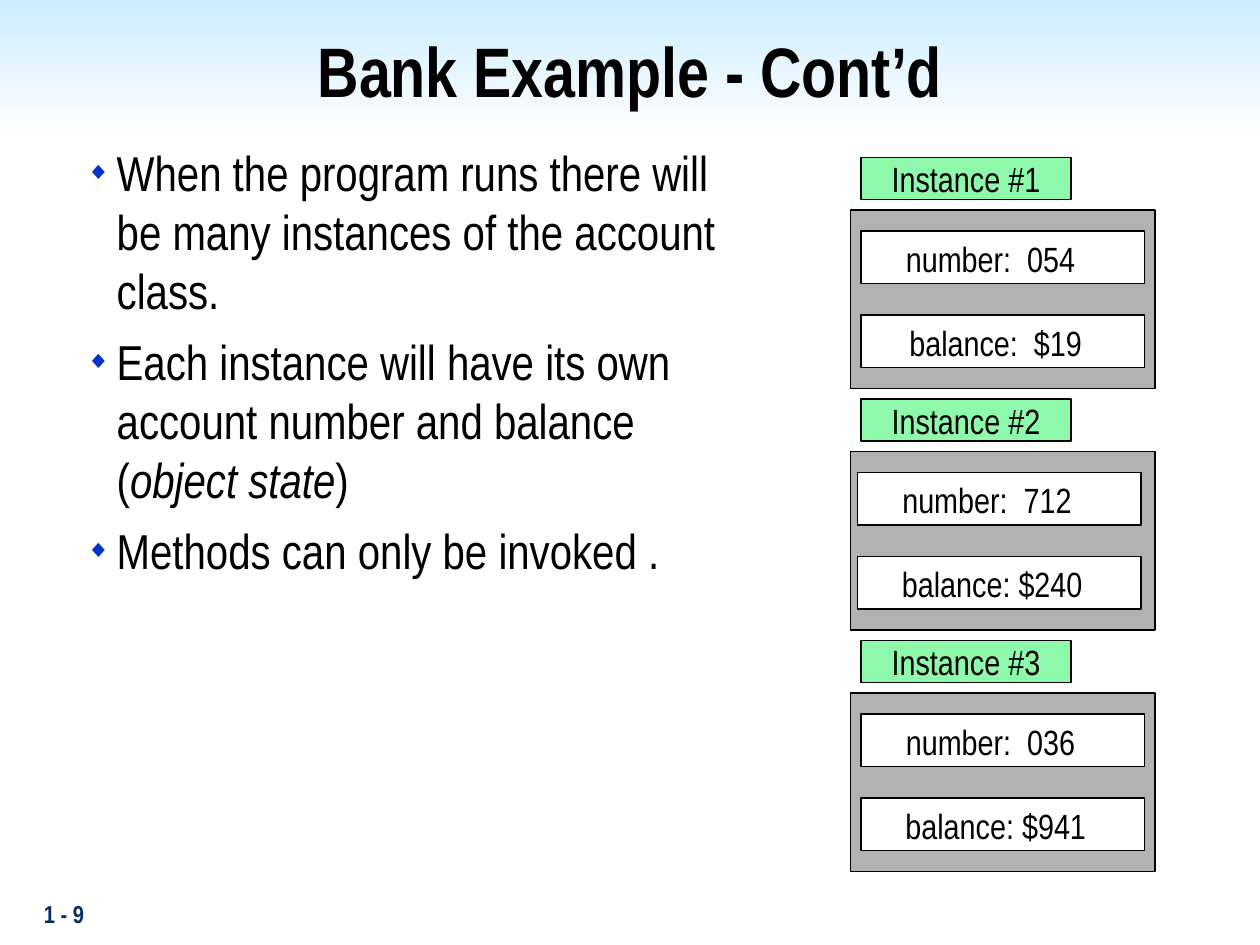
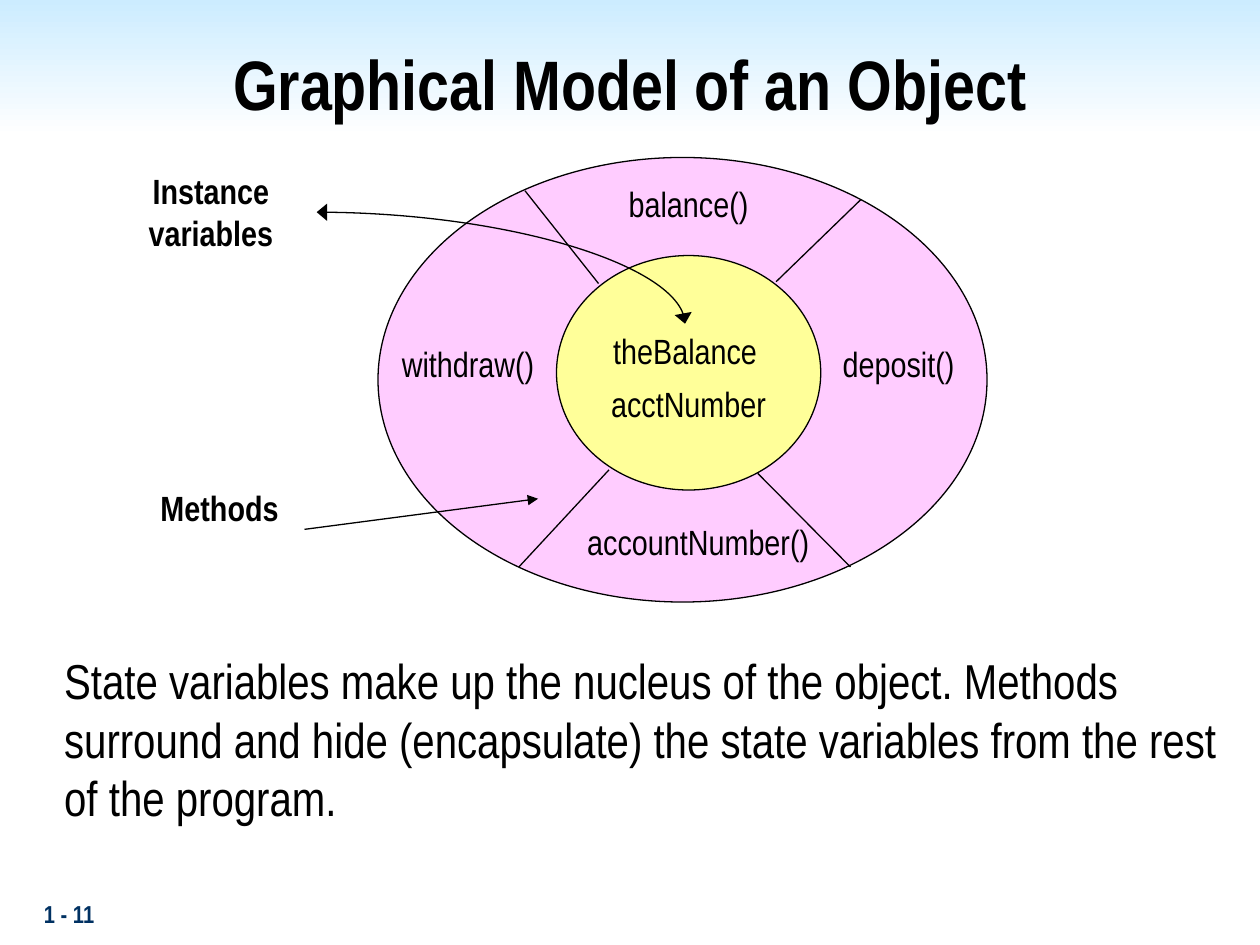
"""Build two slides on objects: bank account instances and a graphical object model."""
from lxml import etree
from pptx import Presentation
from pptx import util as u
from pptx.dml.color import RGBColor
from pptx.enum import shapes, text
from pptx.oxml.ns import qn

Pt = u.Pt
FONT = "Arial Narrow"
COLORS = {
    "ink": "000000", "paper": "FFFFFF", "sky": "CCECFF", "navy": "003162",
    "bullet": "0033CC", "object": "B2B2B2", "label": "8FF9AB",
    "methods": "FFCCFF", "state": "FFFF99",
}


def rgb(name):
    return RGBColor.from_string(COLORS[name])


def write(p, content, size=20, color="ink", bold=False, italic=False):
    r = p.add_run()
    r.text = content
    f = r.font
    f.name, f.size, f.bold, f.italic = FONT, Pt(size), bold, italic
    f.color.rgb = rgb(color)


def place(sp, x, y, w, h):
    sp.left, sp.top, sp.width, sp.height = Pt(x), Pt(y), Pt(w), Pt(h)


def add_xml(parent, tag, **attrs):
    return etree.SubElement(parent, qn(tag), attrs)


class Deck:
    def __init__(self):
        self.prs = Presentation()
        self.prs.slide_width, self.prs.slide_height = Pt(720), Pt(540)
        self.layout = self.prs.slide_layouts[1]
        self.s = None

    def slide(self, title, title_y, number):
        first = self.s is None
        self.s = self.prs.slides.add_slide(self.layout)
        if first:
            self.band()
        tf = self.placeholder(self.s.shapes.title, 12, title_y, 696, 54)
        p = tf.paragraphs[0]
        p.alignment = text.PP_ALIGN.CENTER
        write(p, title, size=40, bold=True)
        self.label(number, 18, 510, 150, 24, align=text.PP_ALIGN.LEFT,
                   size=14, color="navy", bold=True)

    def band(self):
        sp = self.shape("RECTANGLE", 0, 0, 720, 78, "sky")
        sp.line.fill.background()
        sp.fill.gradient()
        sp.fill.gradient_angle = 270
        for stop, name in zip(sp.fill.gradient_stops, ("sky", "paper")):
            stop.color.rgb = rgb(name)
        self.layout.slide_master.shapes.element.insert(2, sp.element)

    def placeholder(self, sp, *box):
        place(sp, *box)
        tf = sp.text_frame
        tf.auto_size = text.MSO_AUTO_SIZE.NONE
        tf.vertical_anchor = text.MSO_ANCHOR.TOP
        return tf

    def body(self, paragraphs, *box, bullets=True):
        tf = self.placeholder(self.s.placeholders[1], *box)
        for i, runs in enumerate(paragraphs):
            p = tf.add_paragraph() if i else tf.paragraphs[0]
            p.space_before = Pt(7)
            for content, italic in runs:
                write(p, content, size=28, italic=italic)
            pPr = p._p.get_or_add_pPr()
            indent = Pt(17.5)
            pPr.set("marL", str(indent))
            pPr.set("indent", str(-indent if bullets else 0))
            if bullets:
                clr = add_xml(pPr, "a:buClr")
                add_xml(clr, "a:srgbClr", val=COLORS["bullet"])
                add_xml(pPr, "a:buSzPct", val="50000")
                add_xml(pPr, "a:buChar", char="◆")
            else:
                add_xml(pPr, "a:buNone")

    def shape(self, kind, x, y, w, h, fill, content=None):
        sp = self.s.shapes.add_shape(shapes.MSO_SHAPE[kind], Pt(x), Pt(y), Pt(w), Pt(h))
        sp.shadow.inherit = False
        sp.fill.solid()
        sp.fill.fore_color.rgb = rgb(fill)
        sp.line.color.rgb = rgb("ink")
        sp.line.width = Pt(0.75)
        if content:
            tf = sp.text_frame
            tf.word_wrap = False
            tf.vertical_anchor = text.MSO_ANCHOR.MIDDLE
            p = tf.paragraphs[0]
            p.alignment = text.PP_ALIGN.CENTER
            write(p, content)
        return sp

    def label(self, content, x, y, w, h=31.5, wrap=True,
              align=text.PP_ALIGN.CENTER, **style):
        sp = self.s.shapes.add_textbox(Pt(x), Pt(y), Pt(w), Pt(h))
        tf = sp.text_frame
        tf.word_wrap = wrap
        if not wrap:
            tf.auto_size = text.MSO_AUTO_SIZE.SHAPE_TO_FIT_TEXT
        p = tf.paragraphs[0]
        p.alignment = align
        write(p, content, **style)
        return sp

    def line(self, x1, y1, x2, y2, kind="STRAIGHT", arrows=(), arrow_width="med"):
        c = self.s.shapes.add_connector(
            shapes.MSO_CONNECTOR[kind], Pt(x1), Pt(y1), Pt(x2), Pt(y2))
        c.line.color.rgb = rgb("ink")
        c.line.width = Pt(0.75)
        spPr = c.element.spPr
        for end in arrows:
            add_xml(spPr.find(qn("a:ln")), f"a:{end}", type="triangle", w=arrow_width)
        add_xml(spPr, "a:effectLst")
        return c

    def curve(self, start, start_side, end, end_side):
        c = self.line(0, 0, 0, 0, "CURVE", ("headEnd", "tailEnd"), "lg")
        c.begin_connect(start, start_side)
        c.end_connect(end, end_side)
        c.element.spPr.find(qn("a:prstGeom")).set("prst", "curvedConnector2")

    def instance(self, name, y, field_x, fields):
        self.shape("RECTANGLE", 492, y, 120, 24, "label", name)
        self.shape("RECTANGLE", 486, y + 30, 174, 102, "object")
        for i, (content, dx, w) in enumerate(fields):
            field_y = y + 42 + 48 * i
            self.shape("RECTANGLE", field_x, field_y, 162, 30, "paper")
            self.label(content, field_x + dx, field_y, w, wrap=False)


def bank_example(deck):
    deck.slide("Bank Example - Cont’d", 12, "1 - 9")
    deck.body([
        [("When the program runs there will be many instances of the account class.", False)],
        [("Each instance will have its own account number and balance (", False),
         ("object state", True), (")", False)],
        [("Methods can only be invoked .", False)],
    ], 42, 78, 395, 426)
    accounts = [
        (492, "054", ("balance:  $19", 18.5, 117)),
        (490, "712", ("balance: $240", 16.5, 121)),
        (492, "036", ("balance: $941", 16.5, 121)),
    ]
    for i, (field_x, number, balance) in enumerate(accounts):
        deck.instance(f"Instance #{i + 1}", 90 + 138 * i, field_x,
                      [(f"number:  {number}", 16.5, 115), balance])


def object_model(deck):
    deck.slide("Graphical Model of an Object", 19.5, "1 - 11")
    deck.body([[("State variables make up the nucleus of the object. Methods surround "
                 "and hide (encapsulate) the state variables from the rest of the "
                 "program.", False)]], 12, 368, 690, 154, bullets=False)
    deck.shape("OVAL", 216, 90, 348, 254, "methods")
    deck.shape("OVAL", 318, 146, 151, 134, "state")
    state = deck.label("theBalance", 324, 185, 135)
    for content, x, y, w in [
        ("acctNumber", 324, 215, 139),
        ("accountNumber()", 300, 294, 198),
        ("balance()", 336, 101, 115),
        ("deposit()", 456, 192, 115),
        ("withdraw()", 204, 192, 127),
    ]:
        deck.label(content, x, y, w)
    variables = deck.label("Instance variables", 60, 93.5, 121, 55.5, bold=True)
    deck.label("Methods", 66, 274.5, 119, bold=True)
    deck.line(174, 302.5, 307.5, 285, arrows=("tailEnd",))
    for divider in [(443.5, 161, 492, 114), (296.5, 324, 348, 268.5),
                    (342, 162, 300, 109), (486, 324, 433, 270.5)]:
        deck.line(*divider)
    deck.curve(variables, 3, state, 0)


def main():
    deck = Deck()
    bank_example(deck)
    object_model(deck)
    deck.prs.save("out.pptx")


if __name__ == "__main__":
    main()
